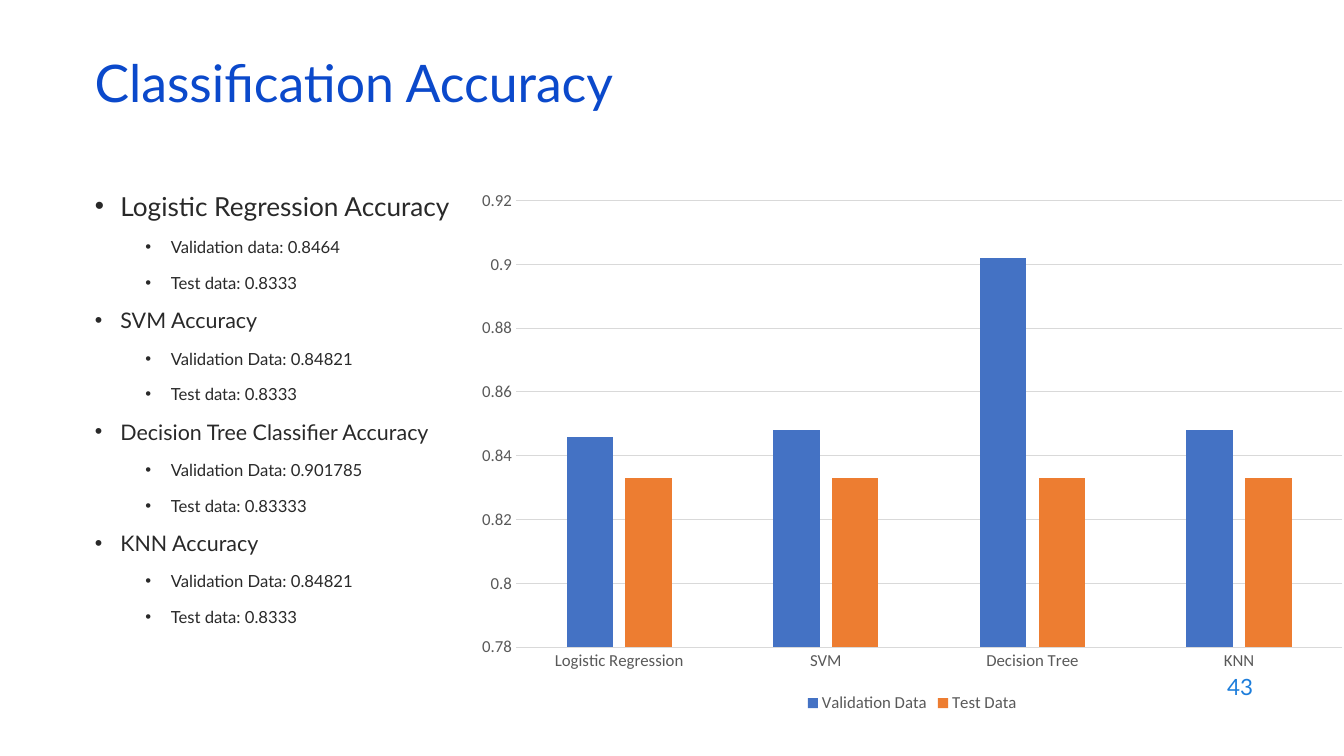
from lxml.etree import SubElement
from pptx import Presentation
from pptx.chart.data import CategoryChartData
from pptx.dml.color import RGBColor
from pptx.enum.chart import XL_CHART_TYPE, XL_LEGEND_POSITION, XL_TICK_MARK
from pptx.enum.text import MSO_ANCHOR, MSO_AUTO_SIZE, PP_ALIGN
from pptx.oxml.ns import qn
from pptx.util import Cm, Pt

TITLE_BLUE = RGBColor(0x0B, 0x49, 0xCB)
NUMBER_BLUE = RGBColor(0x1C, 0x7D, 0xDB)
TEXT_DARK = RGBColor(0x29, 0x29, 0x29)
AXIS_TEXT = RGBColor(0x59, 0x59, 0x59)
GRID_GRAY = RGBColor(0xD9, 0xD9, 0xD9)
SERIES_BLUE = RGBColor(0x44, 0x72, 0xC4)
SERIES_ORANGE = RGBColor(0xED, 0x7D, 0x31)

ACCURACY_LIST = [
    ("Logistic Regression Accuracy", 18.7,
     ["Validation data: 0.8464", "Test data: 0.8333"]),
    ("SVM Accuracy", 15.3,
     ["Validation Data: 0.84821", "Test data: 0.8333"]),
    ("Decision Tree Classifier Accuracy", 15.3,
     ["Validation Data: 0.901785", "Test data: 0.83333"]),
    ("KNN Accuracy", 15.3,
     ["Validation Data: 0.84821", "Test data: 0.8333"]),
]
MODELS = ["Logistic Regression", "SVM", "Decision Tree", "KNN"]
ACCURACY_SERIES = [
    ("Validation Data", [0.846, 0.848, 0.902, 0.848], SERIES_BLUE),
    ("Test Data", [0.833] * len(MODELS), SERIES_ORANGE),
]


class SlideBuilder:
    text_font = "Lato"
    chart_font = "Calibri"

    def __init__(self, slide):
        self.slide = slide

    def place(self, box, left, top, width, height):
        box.left, box.top = Cm(left), Cm(top)
        box.width, box.height = Cm(width), Cm(height)

    def style_runs(self, para, size, color):
        for span in para.runs:
            span.font.name = self.text_font
            span.font.size = Pt(size)
            span.font.color.rgb = color

    def title(self, text, *bounds):
        box = self.slide.shapes.title
        self.place(box, *bounds)
        frame = box.text_frame
        frame.text = text
        frame.auto_size = MSO_AUTO_SIZE.NONE
        frame.vertical_anchor = MSO_ANCHOR.MIDDLE
        para = frame.paragraphs[0]
        para.alignment = PP_ALIGN.LEFT
        para.line_spacing = 0.7
        self.style_runs(para, 37, TITLE_BLUE)

    def bullet_list(self, groups, *bounds):
        box = self.slide.placeholders[1]
        self.place(box, *bounds)
        frame = box.text_frame
        lines = []
        for heading, size, details in groups:
            lines.append((heading, 0, size))
            lines += [(detail, 1, 11.9) for detail in details]
        frame.text = "\n".join(text for text, _, _ in lines)
        frame.auto_size = MSO_AUTO_SIZE.NONE
        frame.vertical_anchor = MSO_ANCHOR.TOP
        for index, (para, (_, level, size)) in enumerate(zip(frame.paragraphs, lines)):
            para.level = level
            para.line_spacing = 0.8
            para.space_before = Pt(14 if index else 0)
            self.bullet(para, 0.64 + 1.27 * level)
            self.style_runs(para, size, TEXT_DARK)

    def bullet(self, para, indent):
        properties = para._p.get_or_add_pPr()
        properties.set("marL", str(Cm(indent)))
        properties.set("indent", str(-Cm(0.64)))
        SubElement(properties, qn("a:buFont")).set("typeface", "Arial")
        SubElement(properties, qn("a:buChar")).set("char", "•")

    def page_number(self, text, *bounds):
        box = self.slide.shapes.add_textbox(*map(Cm, bounds))
        frame = box.text_frame
        frame.text = text
        frame.word_wrap = True
        frame.vertical_anchor = MSO_ANCHOR.MIDDLE
        para = frame.paragraphs[0]
        para.alignment = PP_ALIGN.RIGHT
        self.style_runs(para, 16, NUMBER_BLUE)

    def column_chart(self, categories, series_rows, *bounds):
        data = CategoryChartData()
        data.categories = categories
        for name, values, _ in series_rows:
            data.add_series(name, values)
        chart = self.slide.shapes.add_chart(
            XL_CHART_TYPE.COLUMN_CLUSTERED, *map(Cm, bounds), data).chart
        chart.has_title = False
        chart.font.name = self.chart_font
        chart.font.size = Pt(12)
        chart.font.color.rgb = AXIS_TEXT
        chart.has_legend = True
        chart.legend.position = XL_LEGEND_POSITION.BOTTOM
        chart.legend.include_in_layout = False

        plot = chart.plots[0]
        plot.vary_by_categories = False
        plot.gap_width = 219
        plot.overlap = -27
        for series, (_, _, color) in zip(plot.series, series_rows):
            series.format.fill.solid()
            series.format.fill.fore_color.rgb = color

        value_axis = chart.value_axis
        value_axis.minimum_scale = 0.78
        value_axis.maximum_scale = 0.92
        value_axis.major_unit = 0.02
        value_axis.tick_labels.number_format = "General"
        value_axis.tick_labels.number_format_is_linked = False
        value_axis.format.line.fill.background()
        for axis in (chart.category_axis, value_axis):
            axis.major_tick_mark = XL_TICK_MARK.NONE
            axis.minor_tick_mark = XL_TICK_MARK.NONE
        for line in (chart.category_axis.format.line,
                     value_axis.major_gridlines.format.line):
            line.color.rgb = GRID_GRAY
            line.width = Pt(0.75)


def main():
    deck = Presentation()
    deck.slide_width, deck.slide_height = Cm(33.87), Cm(19.05)
    page = SlideBuilder(deck.slides.add_slide(deck.slide_layouts[1]))
    page.title("Classification Accuracy", 2.13, 1.5, 29.21, 1.52)
    page.bullet_list(ACCURACY_LIST, 2.14, 4.82, 17.15, 11.76)
    page.column_chart(MODELS, ACCURACY_SERIES, 11.7, 4.53, 22.58, 13.54)
    page.page_number("43", 24.21, 16.74, 7.62, 1.12)
    deck.save("out.pptx")


if __name__ == "__main__":
    main()
